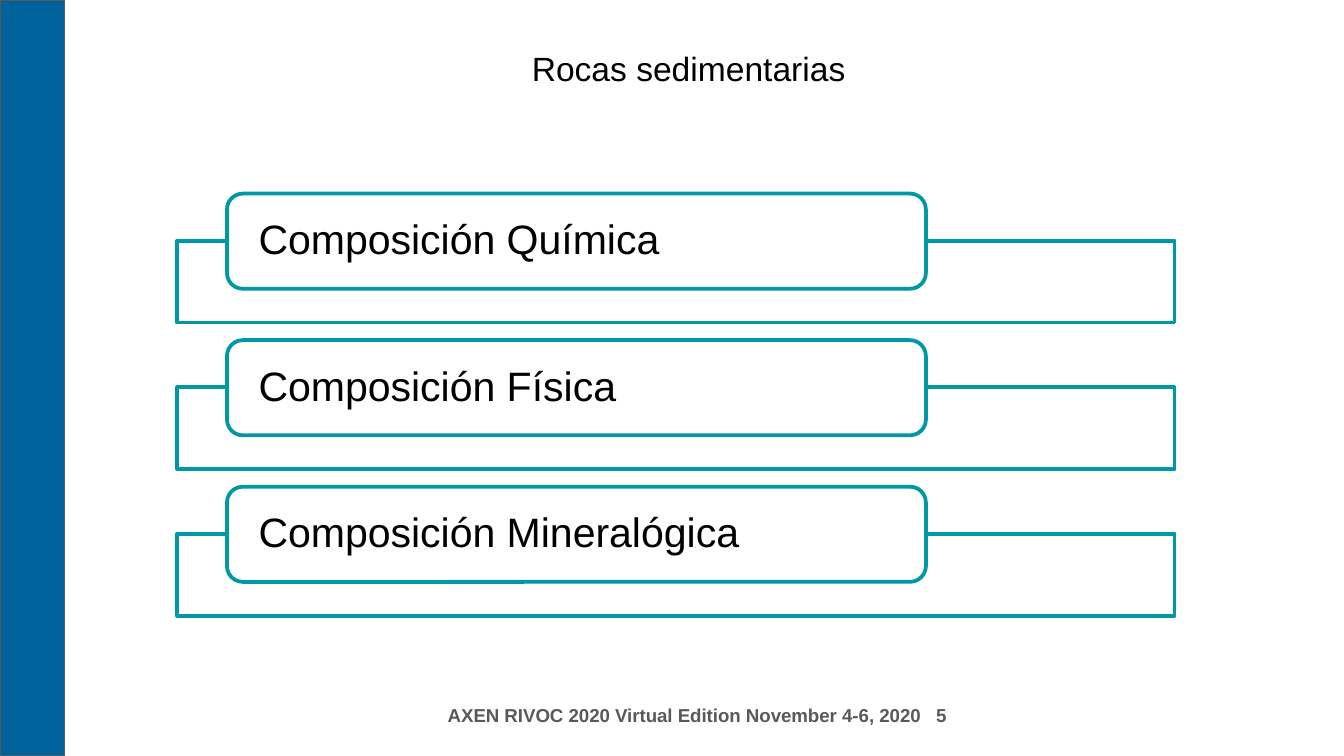
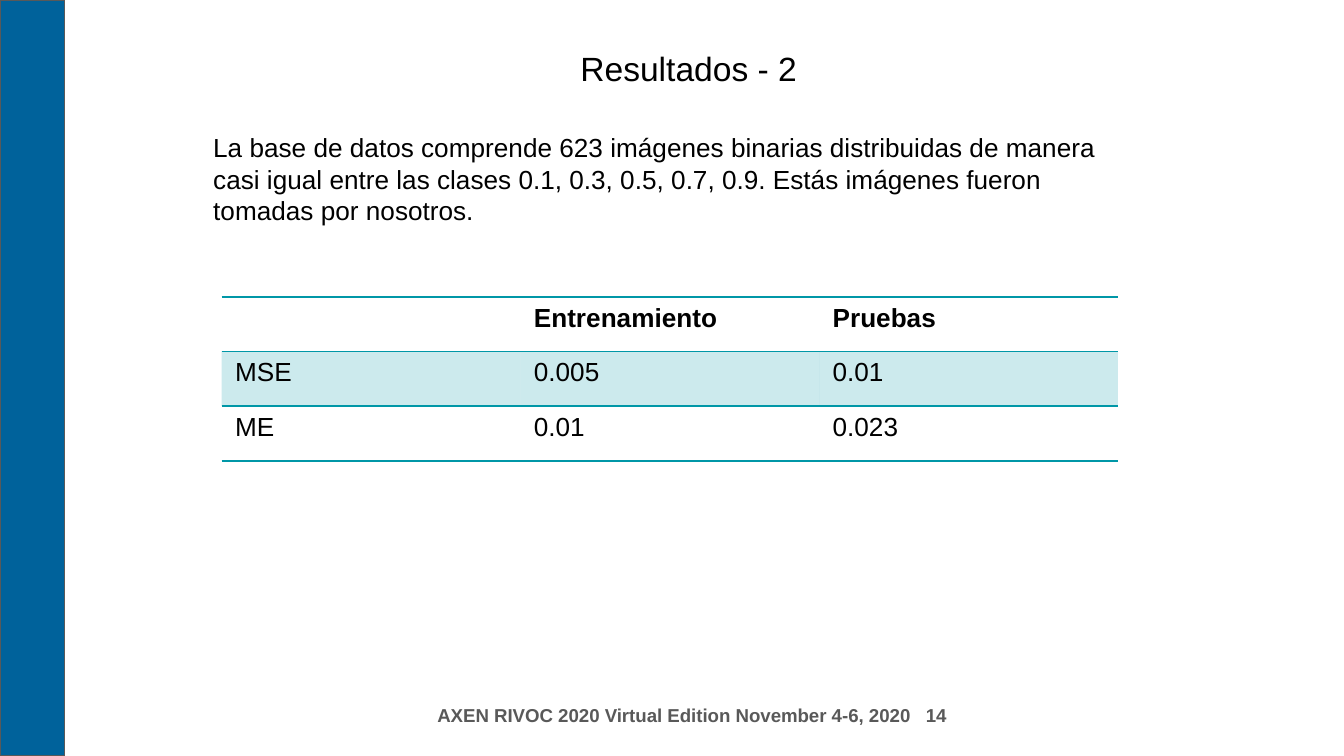
import pptx
import pptx.util
import pptx.dml.color
import pptx.enum.shapes
import pptx.enum.text
import pptx.oxml
import pptx.oxml.ns
from lxml import etree

Cm = pptx.util.Cm
Pt = pptx.util.Pt
RGBColor = pptx.dml.color.RGBColor
Shape = pptx.enum.shapes.MSO_SHAPE
Align = pptx.enum.text.PP_ALIGN
Anchor = pptx.enum.text.MSO_ANCHOR
qn = pptx.oxml.ns.qn

BLUE = RGBColor(0x00, 0x62, 0x9B)
TEAL = RGBColor(0x00, 0x97, 0xA7)
GRAY = RGBColor(0x59, 0x59, 0x59)
BLACK = RGBColor(0, 0, 0)
WHITE = RGBColor(255, 255, 255)

SLIDE_WIDTH, SLIDE_HEIGHT = 25.4, 14.29
EVENT = "AXEN RIVOC 2020 Virtual Edition November 4-6, 2020"
PLAIN_TABLE_STYLE = "{2D5ABB26-0587-4C30-8999-92F81FD0307C}"


class Deck:
    """Holds the presentation, its style and the current slide."""

    font_name = "Arial"

    def __init__(self):
        self.presentation = pptx.Presentation()
        self.presentation.slide_width = Cm(SLIDE_WIDTH)
        self.presentation.slide_height = Cm(SLIDE_HEIGHT)
        self.slide = None

    def add_slide(self, title, number):
        """Starts a slide with the side band, title and footer."""
        layout = self.presentation.slide_layouts[5]
        self.slide = self.presentation.slides.add_slide(layout)
        self.box(Shape.RECTANGLE, (0, 0, 1.22, SLIDE_HEIGHT), BLUE, GRAY, 0.75)
        self.footer(number)
        placeholder = self.slide.shapes.title
        placeholder.left, placeholder.top = Cm(4.19), Cm(0.71)
        placeholder.width, placeholder.height = Cm(17.65), Cm(1.14)
        self.frame(placeholder.text_frame)
        self.add_words(placeholder.text_frame, title, 18, align=Align.CENTER)

    def frame(self, text_frame, **margins):
        """Sets wrapping, middle anchor and margins in cm."""
        text_frame.word_wrap = True
        text_frame.auto_size = pptx.enum.text.MSO_AUTO_SIZE.NONE
        text_frame.vertical_anchor = Anchor.MIDDLE
        for side in ("left", "top", "right", "bottom"):
            setattr(text_frame, f"margin_{side}", Cm(margins.get(side, 0.25)))

    def add_words(self, text_frame, text, size, color=BLACK, bold=False,
                  align=Align.LEFT, line_spacing=1.0):
        """Adds one run to the first paragraph; later calls append to it."""
        paragraph = text_frame.paragraphs[0]
        paragraph.alignment = align
        paragraph.line_spacing = line_spacing
        run = paragraph.add_run()
        run.text = text
        values = {"name": self.font_name, "size": Pt(size), "bold": bold}
        for attribute, value in values.items():
            setattr(run.font, attribute, value)
        run.font.color.rgb = color
        return run

    def box(self, kind, place, fill, line, width):
        shape = self.slide.shapes.add_shape(kind, *map(Cm, place))
        shape.shadow.inherit = False
        shape.fill.solid()
        shape.fill.fore_color.rgb = fill
        shape.line.color.rgb = line
        shape.line.width = Pt(width)
        return shape

    def text(self, place, **margins):
        """Adds an empty text box and returns its text frame."""
        shape = self.slide.shapes.add_textbox(*map(Cm, place))
        self.frame(shape.text_frame, **margins)
        return shape.text_frame

    def footer(self, number):
        text_frame = self.text((7.85, 13.21, 10.29, 0.61))
        style = {"size": 10, "color": GRAY, "bold": True, "align": Align.RIGHT}
        self.add_words(text_frame, EVENT, **style)
        gap = self.add_words(text_frame, " ", **style)
        gap.font._element.set("spc", "560")  # widens the gap before the number
        self.add_words(text_frame, str(number), **style)

    def labelled_frames(self, labels):
        """Stacks outlined frames, each with a rounded label on its top edge."""
        pitch = 2.77
        for index, label in enumerate(labels):
            offset = index * pitch
            self.box(Shape.RECTANGLE, (3.35, 4.55 + offset, 18.85, 1.55),
                     WHITE, TEAL, 2)
            shape = self.box(Shape.ROUNDED_RECTANGLE,
                             (4.29, 3.66 + offset, 13.21, 1.8), WHITE, TEAL, 2)
            self.frame(shape.text_frame, left=0.51, right=0.51, top=0, bottom=0)
            self.add_words(shape.text_frame, label, 22, line_spacing=0.9)

    def table(self, place, rows):
        """Adds a ruled table with a bold header and a tinted first row."""
        graphic = self.slide.shapes.add_table(len(rows), len(rows[0]),
                                              *map(Cm, place))
        table = graphic.table
        table.horz_banding = False
        table._tbl.tblPr.find(qn("a:tableStyleId")).text = PLAIN_TABLE_STYLE
        last = len(rows) - 1
        for row_index, row in enumerate(rows):
            for column_index, value in enumerate(row):
                cell = table.cell(row_index, column_index)
                if value:
                    self.add_words(cell.text_frame, value, 14,
                                   bold=row_index == 0)
                if row_index == 0:
                    self.border(cell, "a:lnT")
                if row_index in (0, last):
                    self.border(cell, "a:lnB")
                if row_index == 1:
                    self.border(cell, "a:lnT")
                    self.tint(cell, 20)
                else:
                    cell.fill.background()

    def border(self, cell, side):
        properties = cell._tc.get_or_add_tcPr()
        line = etree.SubElement(properties, qn(side), w=str(Pt(1)))
        fill = etree.SubElement(line, qn("a:solidFill"))
        etree.SubElement(fill, qn("a:srgbClr"), val=str(TEAL))

    def tint(self, cell, percent):
        cell.fill.solid()
        cell.fill.fore_color.rgb = TEAL
        color = cell._tc.tcPr.find(qn("a:solidFill")).find(qn("a:srgbClr"))
        etree.SubElement(color, qn("a:alpha"), val=str(percent * 1000))


deck = Deck()

# Sedimentary rocks
deck.add_slide("Rocas sedimentarias", 5)
deck.labelled_frames(["Composición Química", "Composición Física",
                      "Composición Mineralógica"])

# Results
deck.add_slide("Resultados - 2", 14)
summary = deck.text((3.78, 2.57, 18.03, 2.13), top=0, bottom=0.51)
deck.add_words(summary, "La base de datos comprende 623 imágenes binarias "
               "distribuidas de manera casi igual entre las clases 0.1, 0.3, "
               "0.5, 0.7, 0.9. Estás imágenes fueron tomadas por nosotros.", 14)
deck.table((4.19, 5.61, 16.94, 3.1), [
    ["", "Entrenamiento", "Pruebas"],
    ["MSE", "0.005", "0.01"],
    ["ME", "0.01", "0.023"],
])

deck.presentation.save("out.pptx")
